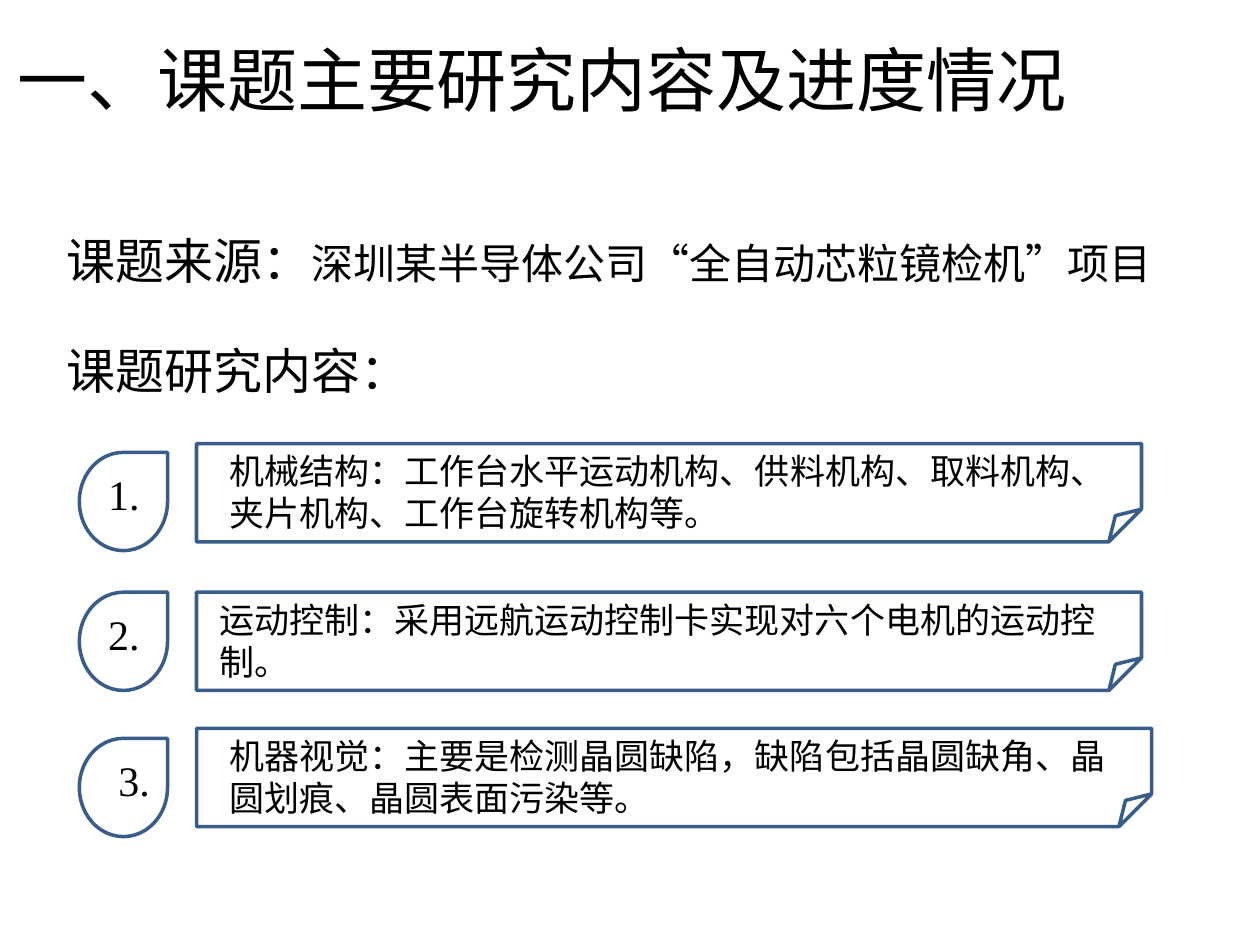
"""Build the slide on the project's research content and progress."""
from dataclasses import dataclass

import lxml.etree
import pptx
import pptx.dml.color
import pptx.enum.shapes
import pptx.enum.text
import pptx.oxml.ns
import pptx.util

Inches = pptx.util.Inches
Pt = pptx.util.Pt
qn = pptx.oxml.ns.qn
MSO_SHAPE = pptx.enum.shapes.MSO_SHAPE
MSO_ANCHOR = pptx.enum.text.MSO_ANCHOR


@dataclass(frozen=True)
class Theme:
    text: pptx.dml.color.RGBColor = pptx.dml.color.RGBColor.from_string("000000")
    outline: pptx.dml.color.RGBColor = pptx.dml.color.RGBColor.from_string("385D8A")
    title_font: str = "Calibri"
    body_font: str = "Arial"
    number_font: str = "Times New Roman"
    title: int = 40
    heading: int = 28
    lead: int = 24
    item: int = 20
    line: int = 2


theme = Theme()


def add_text(box, paragraphs, font, wrap=True, gap=0, anchor=MSO_ANCHOR.TOP):
    tf = s.shapes.add_textbox(*map(Inches, box)).text_frame
    tf.word_wrap = wrap
    tf.vertical_anchor = anchor
    for i, runs in enumerate(paragraphs):
        p = tf.add_paragraph() if i else tf.paragraphs[0]
        if i:
            p.space_before = Pt(gap)
        for text, size in runs:
            r = p.add_run()
            r.text = text
            r.font.name = font
            r.font.size = Pt(size)
            r.font.color.rgb = theme.text


def add_outline(kind, box):
    sp = s.shapes.add_shape(kind, *map(Inches, box))
    sp.shadow.inherit = False
    sp.fill.background()
    sp.line.color.rgb = theme.outline
    sp.line.width = Pt(theme.line)
    return sp


prs = pptx.Presentation()
prs.slide_width = Inches(10)
prs.slide_height = Inches(7.5)
s = prs.slides.add_slide(prs.slide_layouts[6])

add_text((0.04, 0, 8.66, 1.25), [[("一、课题主要研究内容及进度情况", theme.title)]],
         theme.title_font, anchor=MSO_ANCHOR.MIDDLE)

add_text((0.43, 1.78, 9.29, 1.44), [
    [("课题来源：", theme.heading),
     ("深圳某半导体公司“全自动芯粒镜检机”项目", theme.lead)],
    [("课题研究内容：", theme.heading)],
], theme.body_font, gap=29)

items = [
    ("机械结构：工作台水平运动机构、供料机构、取料机构、夹片机构、工作台旋转机构等。",
     3.52, 3.59, 1.72, 6.95, 7.5, 0.76),
    ("运动控制：采用远航运动控制卡实现对六个电机的运动控制。",
     4.7, 4.7, 1.64, 7.27, 7.5, 0.76),
    ("机器视觉：主要是检测晶圆缺陷，缺陷包括晶圆缺角、晶圆划痕、晶圆表面污染等。",
     5.78, 5.86, 1.72, 7.27, 7.58, 0.84),
]
for n, (text, top, drop_top, left, width, card_width, number_left) in enumerate(items, 1):
    add_text((left, top, width, 0.77), [[(text, theme.item)]], theme.body_font)
    card = add_outline(MSO_SHAPE.FOLDED_CORNER, (1.56, top, card_width, 0.78))
    guides = next(card.element.iter(qn("a:avLst")))
    lxml.etree.SubElement(guides, qn("a:gd"), name="adj", fmla="val 33200")
    add_outline(MSO_SHAPE.TEAR, (0.63, drop_top, 0.7, 0.78))
    add_text((number_left, drop_top + 0.08, 0.45, 0.5), [[(f"{n}.", theme.lead)]],
             theme.number_font, wrap=False)

prs.save("out.pptx")
